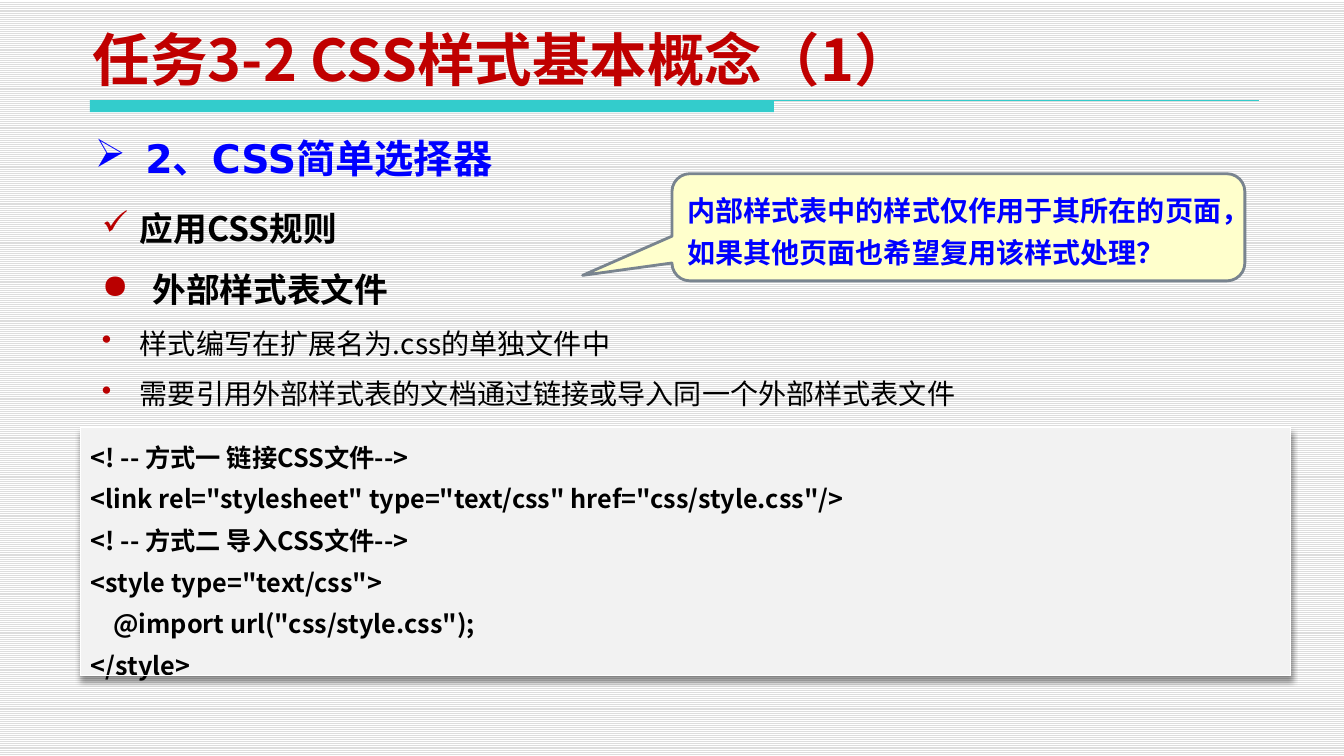
from lxml import etree
from pptx import Presentation
from pptx.dml.color import RGBColor
from pptx.enum.dml import MSO_PATTERN
from pptx.enum.shapes import MSO_CONNECTOR, MSO_SHAPE
from pptx.enum.text import MSO_ANCHOR, PP_ALIGN
from pptx.oxml import parse_xml
from pptx.oxml.ns import qn
from pptx.util import Pt

LIGHT_LINES = MSO_PATTERN.LIGHT_HORIZONTAL
STRAIGHT = MSO_CONNECTOR.STRAIGHT
RECTANGLE = MSO_SHAPE.RECTANGLE
CALLOUT = MSO_SHAPE.ROUNDED_RECTANGULAR_CALLOUT
TOP, MIDDLE, BOTTOM = MSO_ANCHOR.TOP, MSO_ANCHOR.MIDDLE, MSO_ANCHOR.BOTTOM
LEFT = PP_ALIGN.LEFT

color = RGBColor.from_string
CJK_FONT, LATIN_FONT = "Noto Sans CJK SC", "DejaVu Sans"
TEAL, BLUE, BULLET_RED = "33CCCC", "0000FF", "B90000"
SHADOW = (
    '<a:effectLst xmlns:a="http://schemas.openxmlformats.org/drawingml/2006/main">'
    '<a:outerShdw blurRad="50800" dist="38100" dir="5400000" algn="t" rotWithShape="0">'
    '<a:prstClr val="black"><a:alpha val="40000"/></a:prstClr>'
    "</a:outerShdw></a:effectLst>"
)


def add_text(frame, text, size, font, hex_color, bold=True, spacing=None,
             indent=0, bullet=None, bullet_color=None):
    """Write one paragraph, using the empty first one when it is free."""
    paragraph = frame.paragraphs[0]
    if paragraph.runs:
        paragraph = frame.add_paragraph()
    paragraph.alignment = LEFT
    if spacing:
        paragraph.line_spacing = spacing
    run = paragraph.add_run()
    run.text = text
    run.font.size = Pt(size)
    run.font.bold = bold
    run.font.name = font
    run.font.color.rgb = color(hex_color)
    east_asian = etree.SubElement(run.font._element, qn("a:ea"))
    east_asian.set("typeface", CJK_FONT)
    properties = paragraph._p.get_or_add_pPr()
    properties.set("marL", str(Pt(indent)))
    if bullet:
        properties.set("indent", str(-Pt(indent)))
        bullet_fill = etree.SubElement(properties, qn("a:buClr"))
        etree.SubElement(bullet_fill, qn("a:srgbClr")).set("val", bullet_color or hex_color)
        etree.SubElement(properties, qn("a:buChar")).set("char", bullet)


def add_text_box(left, top, width, height, anchor=TOP):
    """Add a wrapping text box and return its text frame."""
    frame = slide.shapes.add_textbox(Pt(left), Pt(top), Pt(width), Pt(height)).text_frame
    frame.word_wrap = True
    frame.vertical_anchor = anchor
    return frame


presentation = Presentation()
presentation.slide_width = Pt(957.6)
presentation.slide_height = Pt(538.56)
slide = presentation.slides.add_slide(presentation.slide_layouts[6])

# Striped background
background = slide.background.fill
background.patterned()
background.pattern = LIGHT_LINES
background.fore_color.rgb = color("DDDDDD")
background.back_color.rgb = color("FFFFFF")

# Rule under the title: thick bar and thin line
bar = slide.shapes.add_shape(RECTANGLE, Pt(64), Pt(71.3), Pt(487.5), Pt(8.6))
bar.shadow.inherit = False
bar.fill.solid()
bar.fill.fore_color.rgb = color(TEAL)
bar.line.fill.background()
thin_line = slide.shapes.add_connector(STRAIGHT, Pt(64), Pt(71.3), Pt(897), Pt(71.3))
thin_line.line.color.rgb = color(TEAL)
thin_line.line.width = Pt(0.75)
etree.SubElement(thin_line._element.spPr, qn("a:effectLst"))

# Title and section heading
title = add_text_box(59, 20.2, 697.7, 49.7, BOTTOM)
add_text(title, "任务3-2 CSS样式基本概念（1）", 41, CJK_FONT, "C00000")
heading = add_text_box(60.5, 92.2, 612, 41.8)
add_text(heading, "2、CSS简单选择器", 28, LATIN_FONT, BLUE, indent=36, bullet="➢")

# Bulleted points: text, size, bold, indent, bullet
points = [
    ("应用CSS规则", 24, True, 27, "✓"),
    ("外部样式表文件", 24, True, 36, "●"),
    ("样式编写在扩展名为.css的单独文件中", 20, False, 27, "•"),
    ("需要引用外部样式表的文档通过链接或导入同一个外部样式表文件", 20, False, 27, "•"),
]
body = add_text_box(65.5, 130.3, 877.7, 198)
for text, size, bold, indent, bullet in points:
    add_text(body, text, size, CJK_FONT, "000000", bold, 1.5, indent, bullet, BULLET_RED)

# Code listing in a one-cell table: text, indent
code_lines = [
    ("<! -- 方式一 链接CSS文件-->", 0),
    ('<link rel="stylesheet" type="text/css" href="css/style.css"/>', 0),
    ("<! -- 方式二 导入CSS文件-->", 0),
    ('<style type="text/css">', 0),
    ('@import url("css/style.css");', 16),
    ("</style>", 0),
]
table = slide.shapes.add_table(1, 1, Pt(57.6), Pt(304.6), Pt(861.8), Pt(176.4)).table
table.first_row = False
table.horz_banding = False
table._tbl.tblPr.insert(0, parse_xml(SHADOW))
code_cell = table.cell(0, 0)
code_cell.fill.solid()
code_cell.fill.fore_color.rgb = color("F2F2F2")
code_cell.vertical_anchor = MIDDLE
for text, indent in code_lines:
    add_text(code_cell.text_frame, text, 18, CJK_FONT, "000000", spacing=1.14, indent=indent)

# Callout with the question
callout = slide.shapes.add_shape(CALLOUT, Pt(478.8), Pt(123.8), Pt(408.2), Pt(76.3))
callout.shadow.inherit = False
for index, value in enumerate((-0.656, 0.449, 0.167)):
    callout.adjustments[index] = value
callout.fill.solid()
callout.fill.fore_color.rgb = color("FFFFCC")
callout.line.color.rgb = color("79848F")
callout.line.width = Pt(2)
callout.text_frame.word_wrap = True
callout.text_frame.vertical_anchor = MIDDLE
add_text(callout.text_frame, "内部样式表中的样式仅作用于其所在的页面，如果其他页面也希望复用该样式处理？",
         20, LATIN_FONT, BLUE, spacing=Pt(30))

presentation.save("out.pptx")
